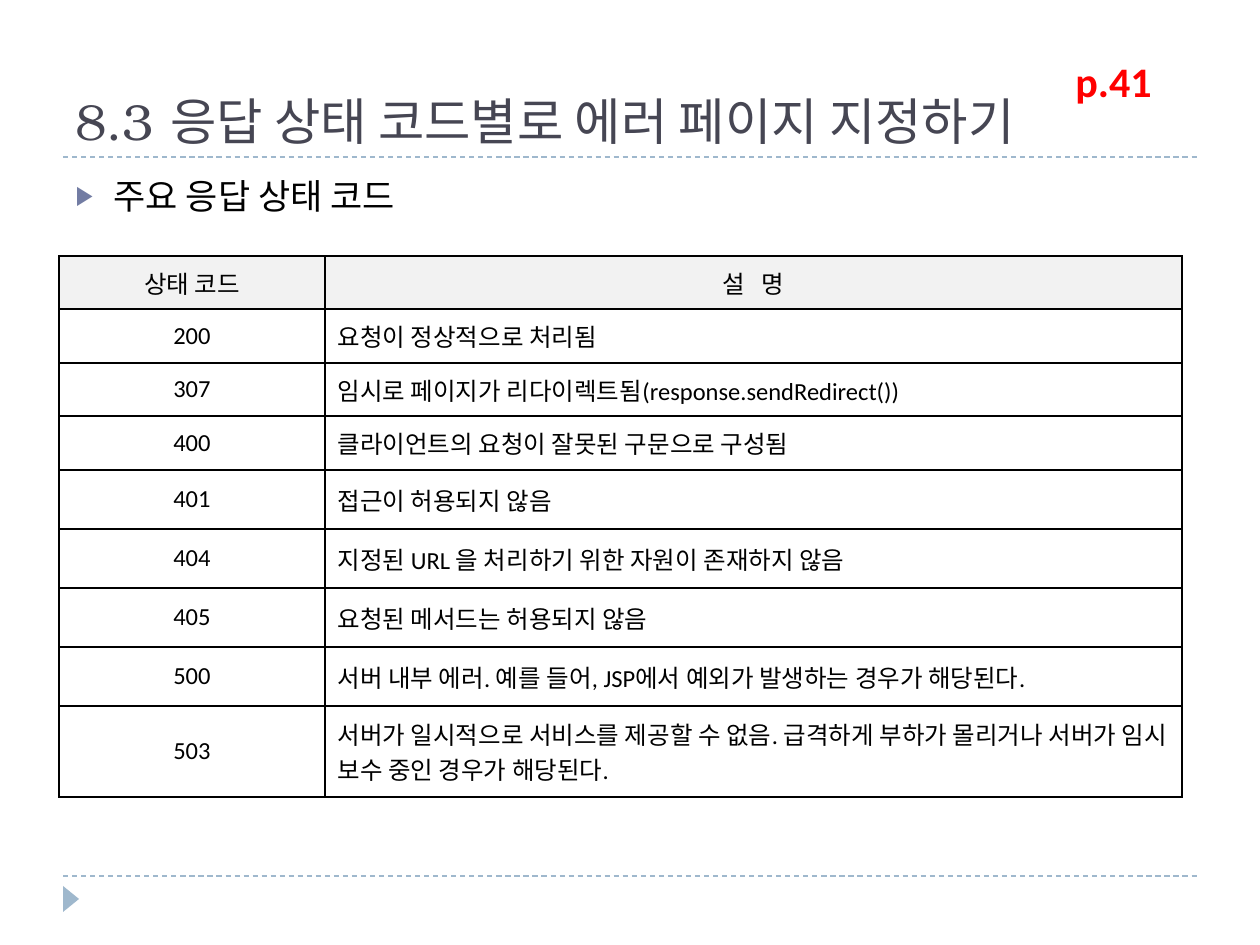
"""Builds the slide on error pages by response status code."""
import pptx
import pptx.dml.color
import pptx.enum.dml
import pptx.enum.shapes
import pptx.enum.text
import pptx.oxml
import pptx.oxml.ns
import pptx.util
from lxml import etree

RGBColor = pptx.dml.color.RGBColor
PP_ALIGN = pptx.enum.text.PP_ALIGN
MSO_ANCHOR = pptx.enum.text.MSO_ANCHOR

BLACK = RGBColor(0x00, 0x00, 0x00)
RED = RGBColor(0xFF, 0x00, 0x00)
SLATE = RGBColor(0x46, 0x46, 0x53)
PALE_BLUE = RGBColor(0x9F, 0xB8, 0xCD)
BULLET_BLUE = RGBColor(0x72, 0x7C, 0xA3)
HEADER_GRAY = RGBColor(0xF2, 0xF2, 0xF2)

TITLE = "8.3 응답 상태 코드별로 에러 페이지 지정하기"
BULLET = "주요 응답 상태 코드"
PAGE_REFERENCE = "p.41"
STATUS_CODES = [
    ("상태 코드", "설   명"),
    ("200", "요청이 정상적으로 처리됨"),
    ("307", "임시로 페이지가 리다이렉트됨(response.sendRedirect())"),
    ("400", "클라이언트의 요청이 잘못된 구문으로 구성됨"),
    ("401", "접근이 허용되지 않음"),
    ("404", "지정된 URL 을 처리하기 위한 자원이 존재하지 않음"),
    ("405", "요청된 메서드는 허용되지 않음"),
    ("500", "서버 내부 에러. 예를 들어, JSP에서 예외가 발생하는 경우가 해당된다."),
    ("503", "서버가 일시적으로 서비스를 제공할 수 없음. 급격하게 부하가 몰리거나 "
            "서버가 임시 보수 중인 경우가 해당된다."),
]
COLUMN_WIDTHS = [266, 857]
ROW_HEIGHTS = [53, 54, 53, 54, 59, 59, 59, 59, 91]
RULE_TOPS = [157, 876]
RULE_LEFT, RULE_RIGHT = 63, 1197


def px(*lengths):
    """Converts pixels to EMU."""
    return [pptx.util.Emu(round(length * 914400 / 126)) for length in lengths]


def write(frame, text, size, color, font="Calibri", bold=False, align=PP_ALIGN.LEFT):
    """Fills a text frame with one formatted paragraph and returns it."""
    frame.text = text
    paragraph = frame.paragraphs[0]
    paragraph.alignment = align
    paragraph.font.name = font
    paragraph.font.size = pptx.util.Pt(size)
    paragraph.font.bold = bold
    paragraph.font.color.rgb = color
    return paragraph


def place(shape, *box):
    """Moves and resizes a shape."""
    shape.left, shape.top, shape.width, shape.height = px(*box)


def add_bullet(paragraph):
    """Gives a paragraph a hanging triangle bullet."""
    properties = paragraph._p.get_or_add_pPr()
    indent = px(38)[0]
    properties.set("marL", str(indent))
    properties.set("indent", str(-indent))
    color = etree.SubElement(properties, pptx.oxml.ns.qn("a:buClr"))
    etree.SubElement(color, pptx.oxml.ns.qn("a:srgbClr"), val=str(BULLET_BLUE))
    etree.SubElement(properties, pptx.oxml.ns.qn("a:buSzPct"), val="76000")
    etree.SubElement(properties, pptx.oxml.ns.qn("a:buChar"), char="▶")


def add_borders(cell):
    """Draws a thin black line on each side of a cell."""
    properties = cell._tc.get_or_add_tcPr()
    for position, side in enumerate(("a:lnL", "a:lnR", "a:lnT", "a:lnB")):
        line = etree.Element(pptx.oxml.ns.qn(side), w=str(pptx.util.Pt(1)))
        fill = etree.SubElement(line, pptx.oxml.ns.qn("a:solidFill"))
        etree.SubElement(fill, pptx.oxml.ns.qn("a:srgbClr"), val=str(BLACK))
        properties.insert(position, line)


presentation = pptx.Presentation()
presentation.slide_width, presentation.slide_height = px(1260, 945)
slide = presentation.slides.add_slide(presentation.slide_layouts[1])
title, body = slide.placeholders

for top in RULE_TOPS:
    rule = slide.shapes.add_connector(
        pptx.enum.shapes.MSO_CONNECTOR.STRAIGHT, *px(RULE_LEFT, top, RULE_RIGHT, top))
    rule.line.color.rgb = PALE_BLUE
    rule.line.width = pptx.util.Pt(0.75)
    rule.line.dash_style = pptx.enum.dml.MSO_LINE.DASH
    etree.SubElement(rule._element.spPr, pptx.oxml.ns.qn("a:effectLst"))

marker = slide.shapes.add_shape(
    pptx.enum.shapes.MSO_SHAPE.ISOSCELES_TRIANGLE, *px(58, 891, 26, 16))
marker.rotation = 90
marker.shadow.inherit = False
marker.fill.solid()
marker.fill.fore_color.rgb = PALE_BLUE
marker.line.fill.background()

place(title, 63, 21, 1134, 136)
write(title.text_frame, TITLE, 28.8, SLATE, font="TeX Gyre Bonum")
title.text_frame.vertical_anchor = MSO_ANCHOR.BOTTOM
title.text_frame.auto_size = pptx.enum.text.MSO_AUTO_SIZE.NONE

place(body, 63, 168, 1134, 680)
bullet = write(body.text_frame, BULLET, 20, BLACK)
body.text_frame.auto_size = pptx.enum.text.MSO_AUTO_SIZE.NONE
bullet.space_before = pptx.util.Pt(6)
add_bullet(bullet)

table = slide.shapes.add_table(
    len(STATUS_CODES), len(COLUMN_WIDTHS),
    *px(59, 256, sum(COLUMN_WIDTHS), sum(ROW_HEIGHTS))).table
table.first_row = table.horz_banding = False
for column, width in zip(table.columns, px(*COLUMN_WIDTHS)):
    column.width = width
for row, height in zip(table.rows, px(*ROW_HEIGHTS)):
    row.height = height
for row_index, texts in enumerate(STATUS_CODES):
    for column_index, text in enumerate(texts):
        cell = table.cell(row_index, column_index)
        centred = row_index == 0 or column_index == 0
        write(cell.text_frame, text, 14, BLACK,
              align=PP_ALIGN.CENTER if centred else PP_ALIGN.LEFT)
        cell.vertical_anchor = MSO_ANCHOR.MIDDLE
        if row_index == 0:
            cell.fill.solid()
            cell.fill.fore_color.rgb = HEADER_GRAY
        else:
            cell.fill.background()
        add_borders(cell)

page_box = slide.shapes.add_textbox(*px(1063, 49, 129, 63))
page_box.text_frame.word_wrap = True
write(page_box.text_frame, PAGE_REFERENCE, 24, RED, bold=True)

presentation.save("out.pptx")
